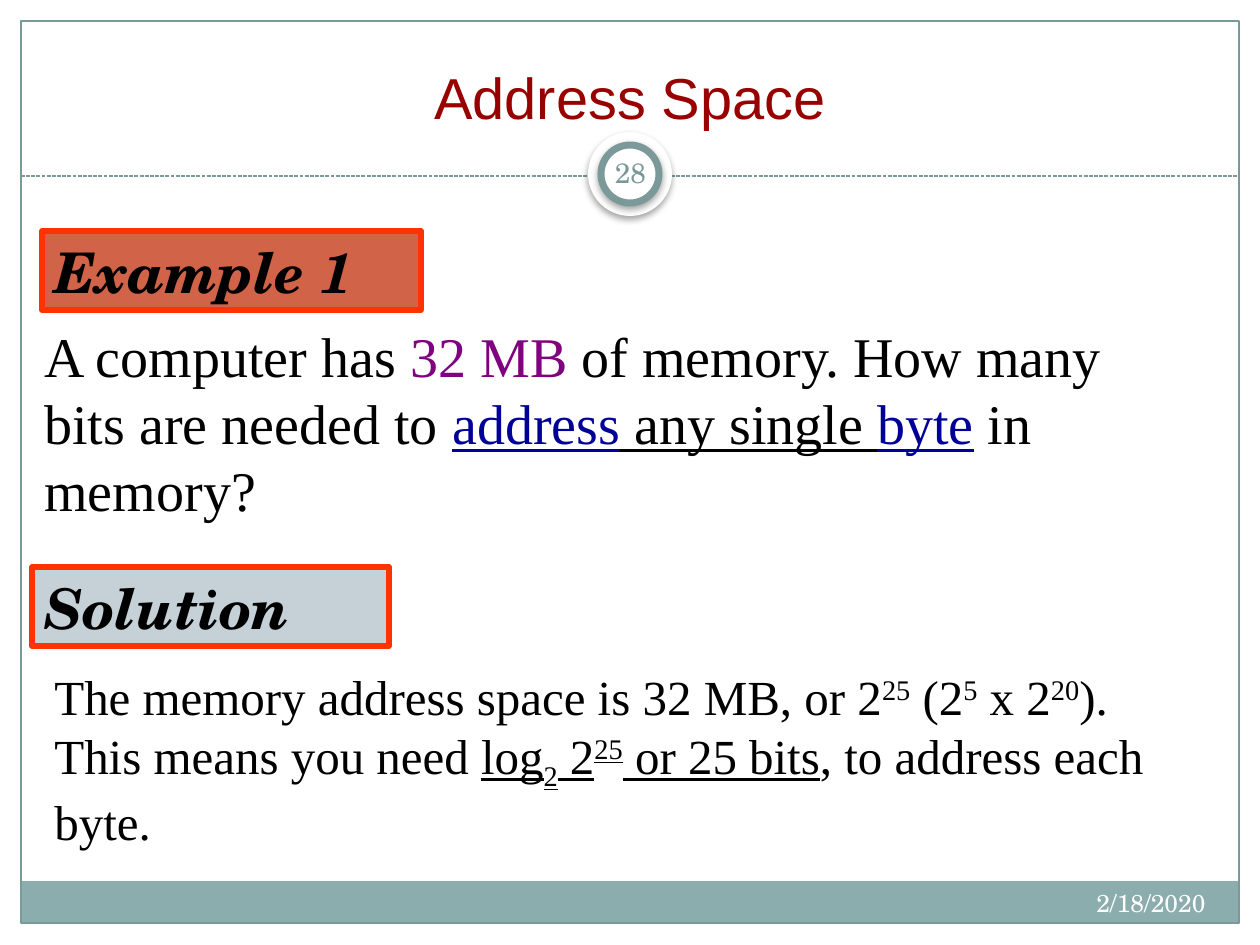
from lxml import etree
from pptx import Presentation
from pptx import util as u
from pptx.dml.color import RGBColor
from pptx.enum import dml, shapes, text
from pptx.oxml import ns

PX = 914400 / 126
COLORS = {
    "white": "FFFFFF", "black": "000000", "band": "8CADAE", "frame": "7C999A",
    "number": "7B9899", "title": "990000", "example": "D16349",
    "solution": "C5D1D7", "border": "FF3300", "purple": "800080", "blue": "000099",
}
SERIF, SCHOLA, SANS = "Times New Roman", "TeX Gyre Schola", "Arial"
UNDER = {"underline": True}
SUP, SUB = {"baseline": 30}, {"baseline": -25}

# Label text, box, fill
LABELS = [
    ("Example 1", (42, 231, 379, 79), "example"),
    ("Solution", (32, 567, 357, 79), "solution"),
]
# Runs, box, size, space before
PASSAGES = [
    ([("A computer has ", {}), ("32 MB", {"color": "purple"}),
      (" of memory. How many bits are needed to ", {}),
      ("address", {"color": "blue", **UNDER}), (" any single ", UNDER),
      ("byte", {"color": "blue", **UNDER}), (" in memory?", {})],
     (32, 315, 1166, 214), 32, 16),
    ([("The memory address space is 32 MB, or 2", {}), ("25", SUP), (" (2", {}),
      ("5", SUP), (" x 2", {}), ("20", SUP), ("). This means you need ", {}),
      ("log", UNDER), ("2", {**UNDER, **SUB}), (" 2", UNDER),
      ("25", {**UNDER, **SUP}), (" or 25 bits", UNDER),
      (", to address each byte.", {})],
     (42, 660, 1166, 197), 28, 14),
]
TITLE = ("Address Space", (42, 32, 1176, 105))
DATE = ("2/18/2020", (798, 882, 420, 50))
NUMBER = ("28", (599, 142, 63, 60))
FRAME = (21, 21, 1218, 902)
BAND = (21, 881, 1217, 42)
RULE_Y = 176
CENTER = (630, 174)
RINGS = [(84, None), (58, "frame")]  # diameter, line


def emu(pixels):
    return u.Emu(round(pixels * PX))


def rgb(name):
    return RGBColor.from_string(COLORS[name])


def add_box(slide, kind, box, fill=None, line=None, width=0.75):
    shape = slide.shapes.add_shape(kind, *map(emu, box))
    shape.shadow.inherit = False
    if fill:
        shape.fill.solid()
        shape.fill.fore_color.rgb = rgb(fill)
    else:
        shape.fill.background()
    if line:
        shape.line.color.rgb = rgb(line)
        shape.line.width = u.Pt(width)
    else:
        shape.line.fill.background()
    return shape


def add_shadow(shape):
    effects = shape.element.spPr.find(ns.qn("a:effectLst"))
    shadow = etree.SubElement(effects, ns.qn("a:outerShdw"), blurRad=str(u.Pt(4)),
                              dist=str(u.Pt(2)), dir="5400000", algn="t", rotWithShape="0")
    color = etree.SubElement(shadow, ns.qn("a:srgbClr"), val=COLORS["black"])
    etree.SubElement(color, ns.qn("a:alpha"), val="35000")


def write(shape, runs, size, font, color="black", align="LEFT", anchor="TOP",
          bold=False, italic=False, before=0, inset=0.1):
    """Fill a shape with one paragraph of (text, format) runs or a plain string."""
    frame = shape.text_frame
    frame.word_wrap = True
    frame.auto_size = text.MSO_AUTO_SIZE.NONE
    frame.vertical_anchor = text.MSO_ANCHOR[anchor]
    frame.margin_left = frame.margin_right = u.Inches(inset)
    frame.margin_top = frame.margin_bottom = u.Inches(0.05)
    paragraph = frame.paragraphs[0]
    paragraph.alignment = text.PP_ALIGN[align]
    paragraph.space_before = u.Pt(before)
    for words, style in [(runs, {})] if isinstance(runs, str) else runs:
        run = paragraph.add_run()
        run.text = words
        run.font.size, run.font.name = u.Pt(size), font
        run.font.bold, run.font.italic = bold, italic
        run.font.underline = style.get("underline", False)
        run.font.color.rgb = rgb(style.get("color", color))
        if "baseline" in style:
            run.font._element.set("baseline", str(style["baseline"] * 1000))


def add_text(slide, runs, box, **style):
    write(slide.shapes.add_textbox(*map(emu, box)), runs, **style)


def add_rule(slide):
    left, _, width, _ = FRAME
    rule = slide.shapes.add_connector(
        shapes.MSO_CONNECTOR.STRAIGHT,
        *map(emu, (left, RULE_Y, left + width, RULE_Y)))
    rule.line.color.rgb = rgb("frame")
    rule.line.width = u.Pt(0.75)
    rule.line.dash_style = dml.MSO_LINE.SQUARE_DOT
    etree.SubElement(rule.element.spPr, ns.qn("a:effectLst"))


def main():
    presentation = Presentation()
    presentation.slide_width, presentation.slide_height = u.Inches(10), u.Inches(7.5)
    slide = presentation.slides.add_slide(presentation.slide_layouts[5])
    rectangle, oval = shapes.MSO_SHAPE.RECTANGLE, shapes.MSO_SHAPE.OVAL

    title, (words, box) = slide.shapes.title, TITLE
    title.left, title.top, title.width, title.height = map(emu, box)
    write(title, words, 33, SANS, "title", align="CENTER", anchor="BOTTOM")

    add_box(slide, rectangle, BAND, "band")
    add_box(slide, rectangle, FRAME, line="frame")
    add_rule(slide)
    for diameter, line in RINGS:
        corner = [middle - diameter / 2 for middle in CENTER]
        add_shadow(add_box(slide, oval, (*corner, diameter, diameter), "white", line, 4))

    for words, box, fill in LABELS:
        label = add_box(slide, rectangle, box, fill, "border", 3)
        write(label, words, 32, SCHOLA, bold=True, italic=True)
    for runs, box, size, before in PASSAGES:
        add_text(slide, runs, box, size=size, font=SERIF, before=before)
    add_text(slide, *DATE, size=14, font=SCHOLA, color="white", align="RIGHT")
    add_text(slide, *NUMBER, size=16, font=SCHOLA, color="number",
             align="CENTER", anchor="MIDDLE", inset=0.05)
    presentation.save("out.pptx")


if __name__ == "__main__":
    main()
